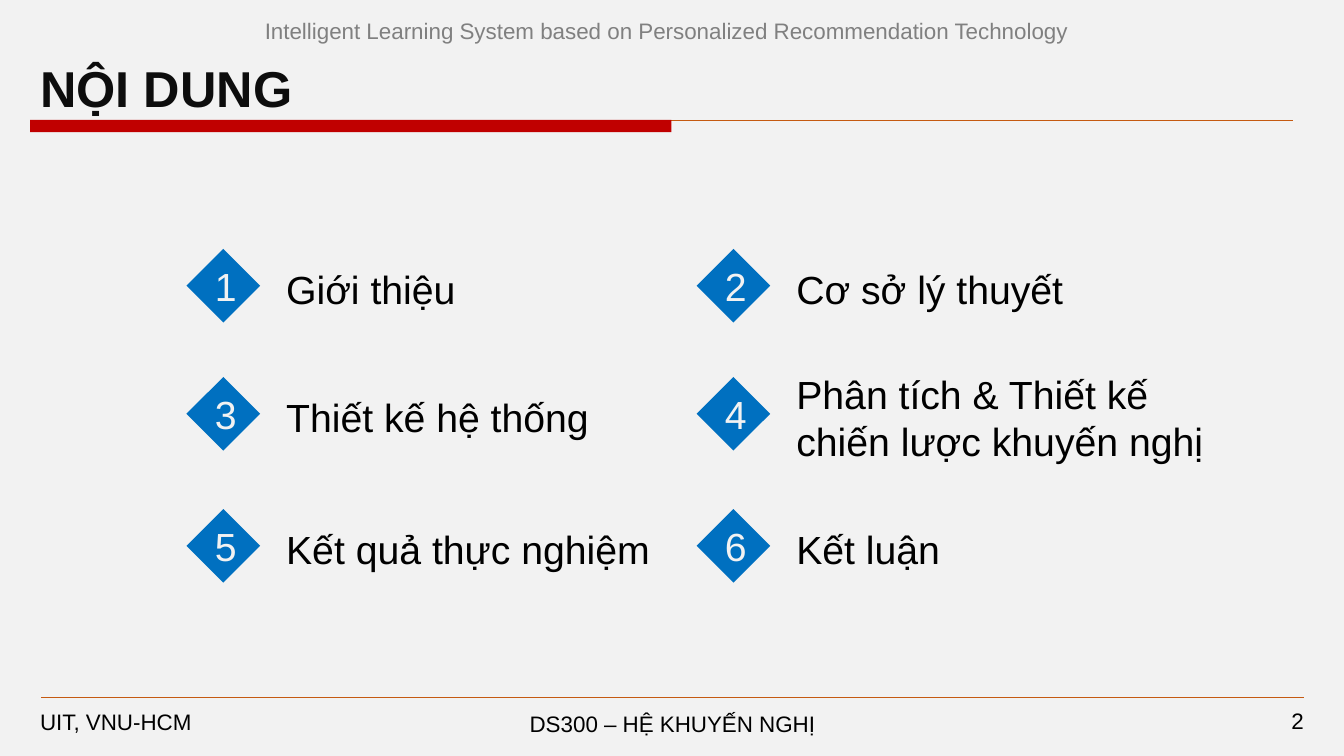
from pptx import Presentation
from pptx.dml.color import RGBColor
from pptx.enum.shapes import MSO_CONNECTOR, MSO_SHAPE
from pptx.enum.text import MSO_ANCHOR, MSO_AUTO_SIZE, PP_ALIGN
from pptx.oxml.ns import qn
from pptx.util import Inches, Pt

BACKGROUND = RGBColor(0xF2, 0xF2, 0xF2)
BLACK = RGBColor(0x00, 0x00, 0x00)
NEAR_BLACK = RGBColor(0x0D, 0x0D, 0x0D)
GRAY = RGBColor(0x80, 0x80, 0x80)
RED = RGBColor(0xC0, 0x00, 0x00)
BLUE = RGBColor(0x00, 0x70, 0xC0)
ORANGE = RGBColor(0xC5, 0x5A, 0x11)


def write(sp, text, size, color, align=PP_ALIGN.LEFT, anchor=MSO_ANCHOR.MIDDLE, bold=False):
    tf = sp.text_frame
    tf.word_wrap = True
    tf.auto_size = MSO_AUTO_SIZE.NONE
    tf.vertical_anchor = anchor
    tf.text = text
    for p in tf.paragraphs:
        p.alignment = align
        for r in p.runs:
            r.font.name = "Arial"
            r.font.size = Pt(size)
            r.font.bold = bold
            r.font.color.rgb = color


def add_filled(kind, x, y, w, h, color):
    sp = slide.shapes.add_shape(kind, Inches(x), Inches(y), Inches(w), Inches(h))
    sp.shadow.inherit = False
    sp.fill.solid()
    sp.fill.fore_color.rgb = color
    sp.line.fill.background()
    return sp


prs = Presentation()
prs.slide_width, prs.slide_height = Inches(13.33), Inches(7.5)
slide = prs.slides.add_slide(prs.slide_layouts[5])
slide.background.fill.solid()
slide.background.fill.fore_color.rgb = BACKGROUND

# Title
title = slide.shapes.title
title.left, title.top = Inches(0.3), Inches(0.52)
title.width, title.height = Inches(2.8), Inches(0.71)
write(title, "NỘI DUNG", 36, NEAR_BLACK, anchor=MSO_ANCHOR.TOP, bold=True)

# Header and footer texts
for text, x, y, w, h, color, align, anchor in [
    ("Intelligent Learning System based on Personalized Recommendation Technology",
     1.9, 0.12, 9.42, 0.64, GRAY, PP_ALIGN.CENTER, MSO_ANCHOR.TOP),
    ("UIT, VNU-HCM", 0.3, 6.98, 2.17, 0.4, BLACK, PP_ALIGN.LEFT, MSO_ANCHOR.TOP),
    ("DS300 – HỆ KHUYẾN NGHỊ", 4.42, 6.98, 4.5, 0.4, BLACK, PP_ALIGN.CENTER, MSO_ANCHOR.MIDDLE),
    ("2", 12.44, 6.95, 0.59, 0.4, BLACK, PP_ALIGN.RIGHT, MSO_ANCHOR.MIDDLE),
]:
    sp = slide.shapes.add_textbox(Inches(x), Inches(y), Inches(w), Inches(h))
    write(sp, text, 16, color, align, anchor)

# Rules under the title and above the footer
for x, y in [(0.3, 1.19), (0.41, 6.92)]:
    rule = slide.shapes.add_connector(
        MSO_CONNECTOR.STRAIGHT, Inches(x), Inches(y), Inches(x + 12.52), Inches(y))
    rule.line.color.rgb = ORANGE
    rule.line.width = Pt(0.5)
    spPr = rule._element.spPr
    spPr.append(spPr.makeelement(qn("a:effectLst"), {}))
add_filled(MSO_SHAPE.RECTANGLE, 0.3, 1.19, 6.36, 0.12, RED)

# Agenda: numbered diamonds with labels, two per row
topics = ["Giới thiệu", "Cơ sở lý thuyết",
          "Thiết kế hệ thống", "Phân tích & Thiết kế\nchiến lược khuyến nghị",
          "Kết quả thực nghiệm", "Kết luận"]
columns = [(1.85, 4.0), (6.91, 4.4)]  # diamond left, label width
rows = [2.47, 3.74, 5.05]
for i, topic in enumerate(topics):
    x, label_width = columns[i % 2]
    y = rows[i // 2]
    label = slide.shapes.add_textbox(
        Inches(x + 0.89), Inches(y - 0.12), Inches(label_width), Inches(1.04))
    write(label, topic, 28, BLACK)
    diamond = add_filled(MSO_SHAPE.DIAMOND, x, y, 0.73, 0.73, BLUE)
    write(diamond, str(i + 1), 28, BACKGROUND, PP_ALIGN.CENTER)

prs.save("out.pptx")
